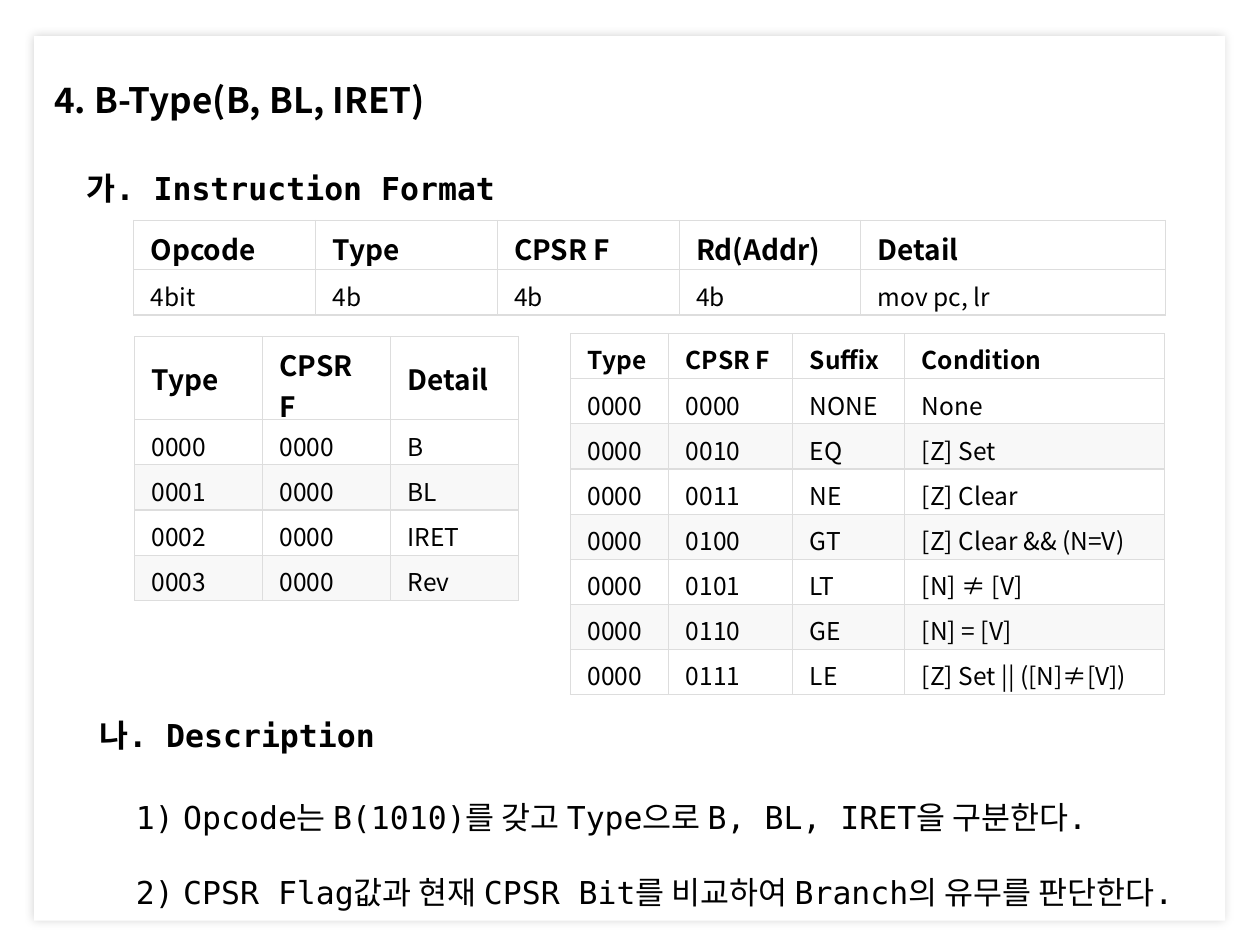
from lxml import etree
from pptx import Presentation
from pptx.dml.color import RGBColor
from pptx.enum.shapes import MSO_SHAPE
from pptx.enum.text import MSO_ANCHOR, MSO_AUTO_SIZE, PP_ALIGN
from pptx.oxml import parse_xml
from pptx.oxml.ns import nsdecls, qn
from pptx.util import Pt

SANS = "Noto Sans CJK KR"
MONO = "DejaVu Sans Mono"
NS = nsdecls("a")


def paint(fmt, color):
    """Fill a shape, cell, line or font with a solid hex colour."""
    fmt.fill.solid()
    fmt.fill.fore_color.rgb = RGBColor.from_string(color)


def write(p, text, font, size, bold=False):
    r = p.add_run()
    r.text = text
    for name, value in {"name": font, "size": Pt(size), "bold": bold}.items():
        setattr(r.font, name, value)
    paint(r.font, "000000")
    ea = etree.SubElement(r.font._element, qn("a:ea"))
    ea.set("typeface", SANS)
    r.font._element.find(qn("a:latin")).addnext(ea)


prs = Presentation()
prs.slide_width, prs.slide_height = Pt(720), Pt(540)
s = prs.slides.add_slide(prs.slide_layouts[5])

# White card with a soft shadow
card = s.shapes.add_shape(MSO_SHAPE.RECTANGLE, Pt(19.6), Pt(20.7), Pt(680.6), Pt(505.4))
paint(card, "FFFFFF")
card.line.fill.background()
card.element.spPr.append(parse_xml(
    f'<a:effectLst {NS}><a:outerShdw blurRad="{Pt(5)}" dist="0" dir="0" algn="ctr" '
    'rotWithShape="0"><a:srgbClr val="000000"><a:alpha val="17000"/></a:srgbClr>'
    '</a:outerShdw></a:effectLst>'))

# Title, above the card
title = s.shapes.title
card.element.addnext(title.element)
title.left, title.top, title.width, title.height = Pt(23.8), Pt(41.8), Pt(678), Pt(30)
tf = title.text_frame
tf.auto_size = MSO_AUTO_SIZE.NONE
tf.vertical_anchor = MSO_ANCHOR.MIDDLE
tf.paragraphs[0].alignment = PP_ALIGN.LEFT
write(tf.paragraphs[0], "4. B-Type(B, BL, IRET)", SANS, 20, True)

# Headings and the numbered description: left, top, height, spacing, numbered, lines
texts = [
    (70.6, 430.6, 94.3, 2.0, True, [
        "Opcode는 B(1010)를 갖고 Type으로 B, BL, IRET을 구분한다.",
        "CPSR Flag값과 현재 CPSR Bit를 비교하여 Branch의 유무를 판단한다."]),
    (42.5, 82, 40.3, 1.5, False, ["가. Instruction Format"]),
    (49.7, 394.6, 40.3, 1.5, False, ["나. Description"]),
]
for left, top, height, spacing, numbered, lines in texts:
    tf = s.shapes.add_textbox(Pt(left), Pt(top), Pt(640.8), Pt(height)).text_frame
    tf.word_wrap = True
    tf.auto_size = MSO_AUTO_SIZE.SHAPE_TO_FIT_TEXT
    for i, line in enumerate(lines):
        p = tf.add_paragraph() if i else tf.paragraphs[0]
        p.line_spacing = spacing
        write(p, line, MONO, 18, not numbered)
        if numbered:
            pPr = p._p.get_or_add_pPr()
            pPr.set("marL", str(Pt(27)))
            pPr.set("indent", str(-Pt(27)))
            pPr.append(parse_xml(f'<a:buFont {NS} typeface="{MONO}"/>'))
            pPr.append(parse_xml(f'<a:buAutoNum {NS} type="arabicParenR"/>'))

# Tables: left, top, column widths, header height, header size, rows
tables = [
    (76.4, 126, [103.9] * 4 + [174.2], 28, 16, [
        ["Opcode", "Type", "CPSR F", "Rd(Addr)", "Detail"],
        ["4bit", "4b", "4b", "4b", "mov pc, lr"]]),
    (76.9, 192.4, [73.2] * 3, 47.5, 16, [
        ["Type", "CPSR F", "Detail"],
        ["0000", "0000", "B"],
        ["0001", "0000", "BL"],
        ["0002", "0000", "IRET"],
        ["0003", "0000", "Rev"]]),
    (326, 190.6, [56.2, 70.9, 64, 148.4], 25.8, 14, [
        ["Type", "CPSR F", "Suffix", "Condition"],
        ["0000", "0000", "NONE", "None"],
        ["0000", "0010", "EQ", "[Z] Set"],
        ["0000", "0011", "NE", "[Z] Clear"],
        ["0000", "0100", "GT", "[Z] Clear && (N=V)"],
        ["0000", "0101", "LT", "[N] ≠ [V]"],
        ["0000", "0110", "GE", "[N] = [V]"],
        ["0000", "0111", "LE", "[Z] Set || ([N]≠[V])"]]),
]
ROW_H = 25.8
cell_format = {"margin_left": Pt(9.75), "margin_right": Pt(9.75),
               "margin_top": Pt(4.5), "margin_bottom": Pt(4.5),
               "vertical_anchor": MSO_ANCHOR.MIDDLE}
for left, top, widths, header_h, header_size, rows in tables:
    height = header_h + ROW_H * (len(rows) - 1)
    tbl = s.shapes.add_table(len(rows), len(widths), Pt(left), Pt(top),
                             Pt(sum(widths)), Pt(height)).table
    tbl.first_row = tbl.horz_banding = False
    for col, width in zip(tbl.columns, widths):
        col.width = Pt(width)
    for i, row in enumerate(rows):
        tbl.rows[i].height = Pt(ROW_H if i else header_h)
        for j, text in enumerate(row):
            cell = tbl.cell(i, j)
            for name, value in cell_format.items():
                setattr(cell, name, value)
            for side in ("lnL", "lnR", "lnT", "lnB"):
                cell._tc.get_or_add_tcPr().append(parse_xml(
                    f'<a:{side} {NS} w="{Pt(0.75)}"><a:solidFill>'
                    f'<a:srgbClr val="DDDDDD"/></a:solidFill></a:{side}>'))
            paint(cell, "F8F8F8" if i and i % 2 == 0 else "FFFFFF")
            write(cell.text_frame.paragraphs[0], text, SANS, 14 if i else header_size, i == 0)

prs.save("out.pptx")
